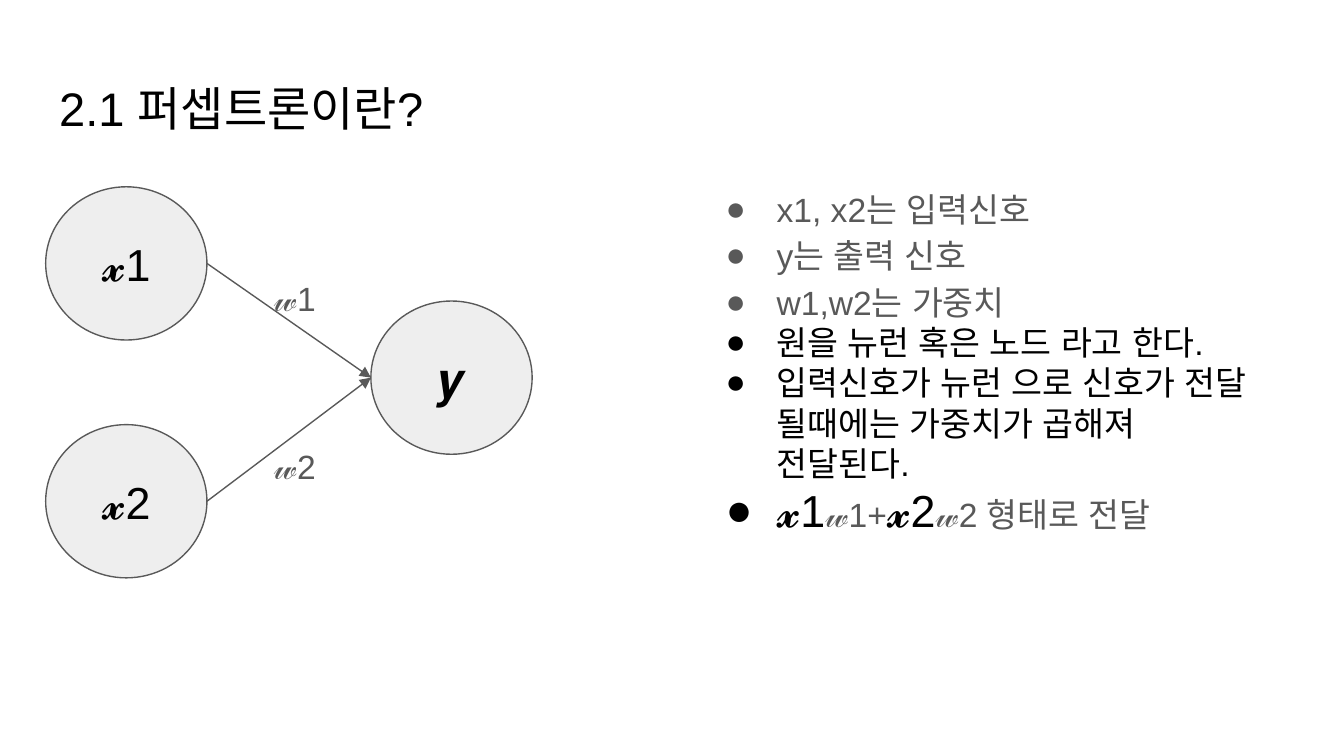
from dataclasses import dataclass

from lxml.etree import SubElement
from pptx import Presentation
from pptx.dml.color import RGBColor
from pptx.enum.shapes import MSO_CONNECTOR, MSO_SHAPE
from pptx.enum.text import MSO_ANCHOR, MSO_AUTO_SIZE, PP_ALIGN
from pptx.oxml.ns import qn
from pptx.util import Inches, Pt


@dataclass(frozen=True)
class Theme:
    """Hold the colours, font and type sizes of the slide."""
    ink: str = "000000"
    gray: str = "595959"
    node: str = "EEEEEE"
    font: str = "Arial"
    title: float = 25.2
    body: float = 18
    symbol: float = 24
    output: float = 26
    line: float = 0.75


THEME = Theme()
FRAME = {"word_wrap": True, "auto_size": MSO_AUTO_SIZE.NONE,
         "vertical_anchor": MSO_ANCHOR.TOP,
         **{f"margin_{side}": Inches(0.1) for side in ("left", "top", "right", "bottom")}}
GRAY_BODY = (THEME.body, THEME.gray)
INK_BODY = (THEME.body, THEME.ink)
INK_SYMBOL = (THEME.symbol, THEME.ink)
BULLETS = [
    (1.15, [("x1, x2는 입력신호", *GRAY_BODY)]),
    (1.15, [("y는 출력 신호", *GRAY_BODY)]),
    (1.15, [("w1,w2는 가중치", *GRAY_BODY)]),
    (1.0, [("원을 뉴런 혹은 노드 라고 한다.", *INK_BODY)]),
    (1.0, [("입력신호가 뉴런 으로 신호가 전달 될때에는 가중치가 곱해져 전달된다.", *INK_BODY)]),
    (1.0, [("𝔁1", *INK_SYMBOL), ("𝓌1+", *GRAY_BODY),
           ("𝔁2", *INK_SYMBOL), ("𝓌2 형태로 전달", *GRAY_BODY)]),
]


def apply_format(target, values):
    """Set each named attribute on the target."""
    for name, value in values.items():
        setattr(target, name, value)


def place(shape, box):
    """Move and size a shape to a box in inches."""
    apply_format(shape, dict(zip(("left", "top", "width", "height"), map(Inches, box))))


def write_runs(paragraph, runs, **paragraph_format):
    """Fill a paragraph with runs of text, size and colour."""
    apply_format(paragraph, paragraph_format)
    for text, size, color in runs:
        run = paragraph.add_run()
        run.text = text
        apply_format(run.font, {"name": THEME.font, "size": Pt(size)})
        run.font.color.rgb = RGBColor.from_string(color)
        SubElement(run.font._element, qn("a:ea"), typeface=THEME.font)


def add_bullet(paragraph, color):
    """Give a paragraph a hanging round bullet."""
    properties = paragraph._p.get_or_add_pPr()
    properties.set("marL", str(Inches(0.5)))
    properties.set("indent", str(-Inches(0.38)))
    bullet_color = SubElement(properties, qn("a:buClr"))
    SubElement(bullet_color, qn("a:srgbClr"), val=color)
    SubElement(properties, qn("a:buFont"), typeface=THEME.font)
    SubElement(properties, qn("a:buChar"), char="●")


def add_text_box(slide, box):
    """Add an empty wrapping text box and return its frame."""
    frame = slide.shapes.add_textbox(*map(Inches, box)).text_frame
    apply_format(frame, FRAME)
    return frame


def add_title(slide, box):
    """Place and format the title placeholder."""
    title = slide.shapes.title
    place(title, box)
    apply_format(title.text_frame, FRAME)
    write_runs(title.text_frame.paragraphs[0],
               [("2.1 퍼셉트론이란?", THEME.title, THEME.ink)], alignment=PP_ALIGN.LEFT)


def add_bullets(slide, box):
    """Add the explanatory bullet list."""
    frame = add_text_box(slide, box)
    frame.margin_right = Inches(0.25)
    for index, (spacing, runs) in enumerate(BULLETS):
        paragraph = frame.add_paragraph() if index else frame.paragraphs[0]
        write_runs(paragraph, runs, line_spacing=spacing)
        add_bullet(paragraph, runs[0][2])


def add_node(slide, box, text, size):
    """Add one neuron circle with its symbol."""
    node = slide.shapes.add_shape(MSO_SHAPE.OVAL, *map(Inches, box))
    node.shadow.inherit = False
    node.fill.solid()
    node.fill.fore_color.rgb = RGBColor.from_string(THEME.node)
    node.line.color.rgb = RGBColor.from_string(THEME.gray)
    node.line.width = Pt(THEME.line)
    apply_format(node.text_frame, {**FRAME, "vertical_anchor": MSO_ANCHOR.MIDDLE})
    write_runs(node.text_frame.paragraphs[0], [(text, size, THEME.ink)],
               alignment=PP_ALIGN.CENTER)
    return node


def add_arrow(slide, source, target):
    """Join the right of one node to the left of another."""
    arrow = slide.shapes.add_connector(
        MSO_CONNECTOR.STRAIGHT,
        source.left + source.width, source.top + source.height // 2,
        target.left, target.top + target.height // 2)
    arrow.line.color.rgb = RGBColor.from_string(THEME.gray)
    arrow.line.width = Pt(THEME.line)
    SubElement(arrow.line._get_or_add_ln(), qn("a:tailEnd"), type="triangle")
    SubElement(arrow._element.spPr, qn("a:effectLst"))


def add_perceptron(slide, box):
    """Draw two weighted inputs leading to one output."""
    left, top, width, height = box
    node_width, node_height = 1.2, 1.14
    bottom = top + height - node_height
    output = add_node(slide, (left + width - node_width, top + 0.85, node_width, node_height),
                      "𝒚", THEME.output)
    inputs = ((1, top, top + 0.53), (2, bottom, bottom + 0.01))
    for number, node_top, label_top in inputs:
        node = add_node(slide, (left, node_top, node_width, node_height),
                        f"𝔁{number}", THEME.symbol)
        add_arrow(slide, node, output)
        label = add_text_box(slide, (left + 1.6, label_top, 0.6, 0.5))
        write_runs(label.paragraphs[0], [(f"𝓌{number}", *GRAY_BODY)],
                   line_spacing=1.15, space_after=Pt(12))


def main():
    """Build and save the perceptron slide."""
    presentation = Presentation()
    apply_format(presentation, {"slide_width": Inches(10),
                                "slide_height": Inches(10 * 9 / 16)})
    slide = presentation.slides.add_slide(presentation.slide_layouts.get_by_name("Title Only"))
    add_title(slide, (0.34, 0.49, 9.32, 0.63))
    add_bullets(slide, (5.18, 1.26, 4.48, 2.98))
    add_perceptron(slide, (0.34, 1.39, 3.62, 2.91))
    presentation.save("out.pptx")


if __name__ == "__main__":
    main()
